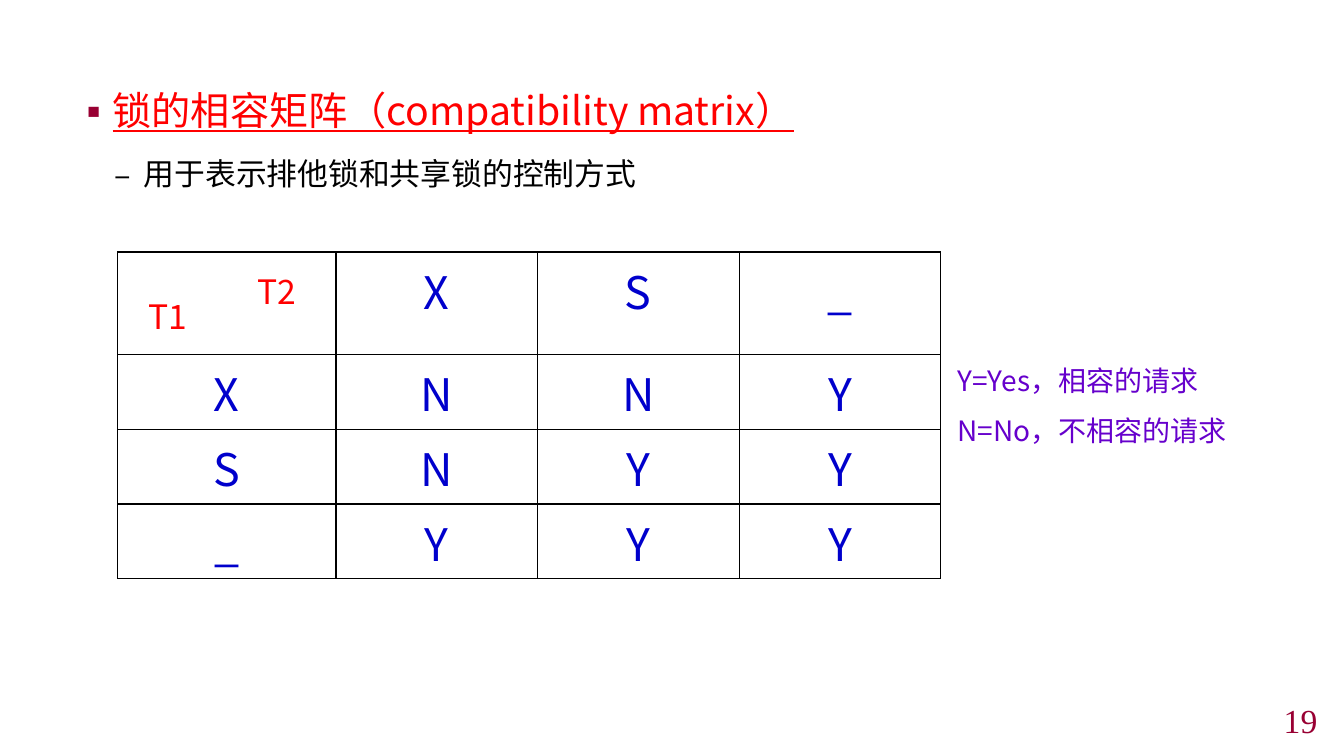
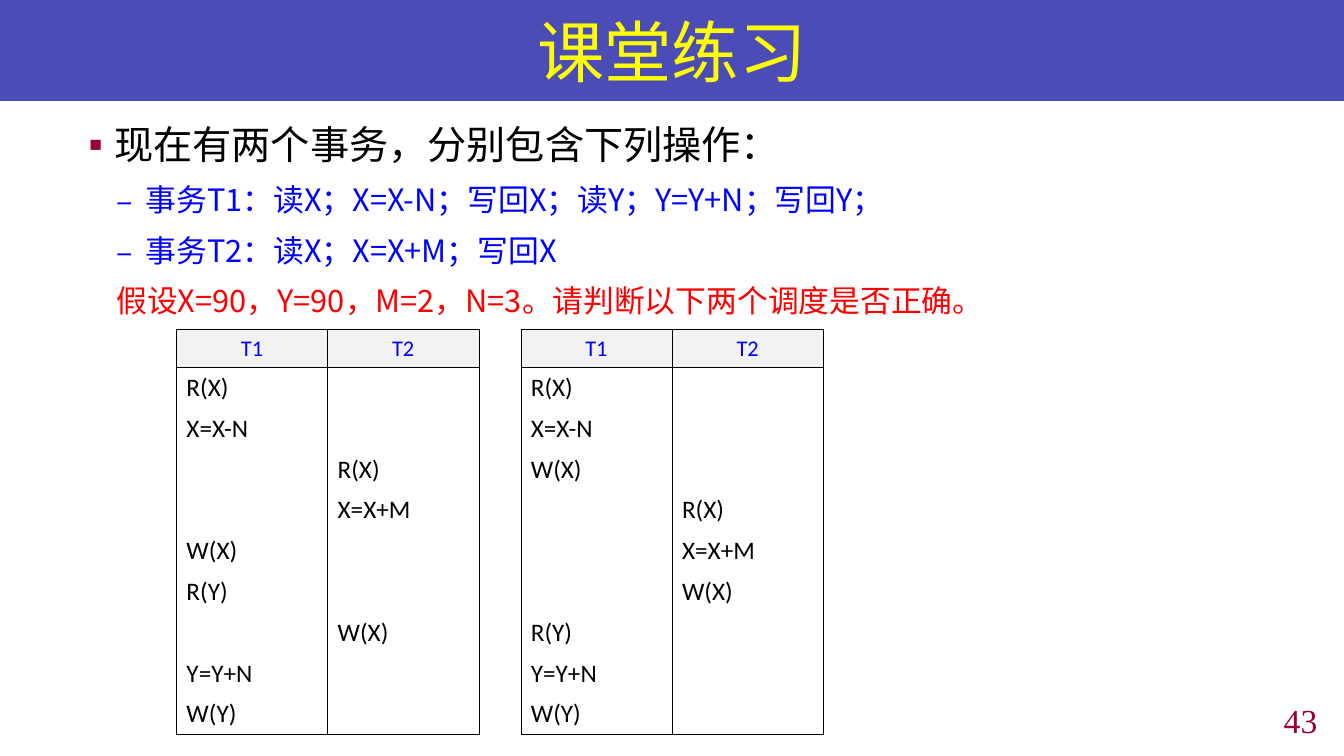
import dataclasses

import lxml.etree
import pptx
import pptx.dml.color
import pptx.enum.shapes
import pptx.enum.text
import pptx.oxml.ns
import pptx.util

ALIGN = pptx.enum.text.PP_ALIGN
MIDDLE = pptx.enum.text.MSO_ANCHOR.MIDDLE
qn = pptx.oxml.ns.qn
NO_GRID_STYLE = "{2D5ABB26-0587-4C30-8999-92F81FD0307C}"


@dataclasses.dataclass(frozen=True)
class Theme:
    # Colours
    black: str = "000000"
    white: str = "FFFFFF"
    red: str = "FF0000"
    blue: str = "0000FF"
    cell_blue: str = "0000CC"
    purple: str = "6600CC"
    maroon: str = "990033"
    yellow: str = "FFFF00"
    band: str = "000099"
    band_alpha: int = 70
    header_fill: str = "F2F2F2"
    # Fonts and type sizes
    font: str = "Noto Sans CJK SC"
    table_font: str = "Calibri"
    number_font: str = "Times New Roman"
    title: int = 48
    matrix: int = 32
    lead: int = 28
    label: int = 24
    point: int = 22
    note: int = 20
    entry: int = 18
    header: int = 16


THEME = Theme()


def rgb(value):
    return pptx.dml.color.RGBColor.from_string(value)


def add_xml(parent, tag, **attrs):
    el = lxml.etree.SubElement(parent, qn(tag))
    for name, value in attrs.items():
        el.set(name, str(value))
    return el


def put_text(p, text, size, color=THEME.black, font=THEME.font, align=ALIGN.LEFT,
             underline=False, leading=None, before=0):
    """Fill one paragraph; leading is a multiple of a 1.2 em line."""
    p.alignment = align
    if leading:
        p.line_spacing = pptx.util.Pt(round(size * 1.2 * leading, 1))
    p.space_before = pptx.util.Pt(before)
    r = p.add_run()
    r.text = text
    r.font.size = pptx.util.Pt(size)
    r.font.name = font
    r.font.underline = underline
    r.font.color.rgb = rgb(color)
    add_xml(r.font._element, "a:ea", typeface=font)


def set_bullet(p, left, hanging, char=None, color=None, percent=100):
    pPr = p._p.get_or_add_pPr()
    pPr.set("marL", str(pptx.util.Inches(left)))
    pPr.set("indent", str(-pptx.util.Inches(hanging)))
    if not char:
        add_xml(pPr, "a:buNone")
        return
    if color:
        add_xml(add_xml(pPr, "a:buClr"), "a:srgbClr", val=color)
    add_xml(pPr, "a:buSzPct", val=percent * 1000)
    add_xml(pPr, "a:buFont", typeface=THEME.font)
    add_xml(pPr, "a:buChar", char=char)


def set_borders(cell, sides, width):
    """Draw the sides named by letters out of LRTB, hide the others."""
    tcPr = cell._tc.get_or_add_tcPr()
    for side in "LRTB":
        ln = add_xml(tcPr, "a:ln" + side, w=pptx.util.Pt(width))
        if side in sides:
            add_xml(add_xml(ln, "a:solidFill"), "a:srgbClr", val=THEME.black)
        else:
            add_xml(ln, "a:noFill")


class Deck:
    """Places elements on a grid of 40 columns by 75 rows."""

    def __init__(self, theme):
        self.theme = theme
        self.prs = pptx.Presentation()
        self.prs.slide_width = pptx.util.Inches(13.33)
        self.prs.slide_height = pptx.util.Inches(7.5)
        self.s = None

    def x(self, columns):
        return round(self.prs.slide_width * columns / 40)

    def y(self, rows):
        return round(self.prs.slide_height * rows / 75)

    def box(self, left, top, width, height):
        return self.x(left), self.y(top), self.x(width), self.y(height)

    def new_slide(self, number, title=None):
        layout = self.prs.slide_layouts[5 if title else 6]
        self.s = self.prs.slides.add_slide(layout)
        if title:
            self.title_band(title)
        self.text((31, 69.9, 8.5, 3.1), [number], anchor=MIDDLE, size=self.theme.label,
                  color=self.theme.maroon, font=self.theme.number_font, align=ALIGN.RIGHT)

    def title_band(self, text):
        sp = self.s.shapes.title
        sp.left, sp.top, sp.width, sp.height = self.box(0, 0, 40, 10)
        sp.fill.solid()
        sp.fill.fore_color.rgb = rgb(self.theme.band)
        clr = next(sp._element.spPr.iter(qn("a:srgbClr")))
        add_xml(clr, "a:alpha", val=self.theme.band_alpha * 1000)
        tf = sp.text_frame
        tf.vertical_anchor = MIDDLE
        tf.auto_size = pptx.enum.text.MSO_AUTO_SIZE.NONE
        put_text(tf.paragraphs[0], text, self.theme.title, self.theme.yellow,
                 align=ALIGN.CENTER)

    def frame(self, place, anchor=pptx.enum.text.MSO_ANCHOR.TOP):
        tf = self.s.shapes.add_textbox(*self.box(*place)).text_frame
        tf.word_wrap = True
        tf.vertical_anchor = anchor
        return tf

    def text(self, place, lines, anchor=pptx.enum.text.MSO_ANCHOR.TOP, **fmt):
        tf = self.frame(place, anchor)
        for i, line in enumerate(lines):
            p = tf.add_paragraph() if i else tf.paragraphs[0]
            put_text(p, line, **fmt)

    def outline(self, place, lead, points, leading, **lead_fmt):
        """A lead line, then (text, colour, bulleted) points below it."""
        t = self.theme
        tf = self.frame(place)
        p = tf.paragraphs[0]
        put_text(p, lead, t.lead, leading=leading, **lead_fmt)
        set_bullet(p, 0.29, 0.29, "▪", t.maroon, 95)
        for text, color, bulleted in points:
            p = tf.add_paragraph()
            put_text(p, text, t.point, color, leading=leading, before=t.point * 0.2)
            if bulleted:
                set_bullet(p, 0.68, 0.29, "–")
            else:
                set_bullet(p, 0.39, 0)

    def table(self, left, top, widths, heights, rows, style):
        """style(row, last_row) gives the fill, sides, line width and text format."""
        gf = self.s.shapes.add_table(len(rows), len(widths),
                                     *self.box(left, top, sum(widths), sum(heights)))
        tbl = gf.table
        tbl.first_row = tbl.horz_banding = False
        tbl._tbl.tblPr.find(qn("a:tableStyleId")).text = NO_GRID_STYLE
        for col, width in zip(tbl.columns, widths):
            col.width = self.x(width)
        for i, (height, row) in enumerate(zip(heights, rows)):
            tbl.rows[i].height = self.y(height)
            fill, sides, line, fmt = style(i, len(rows) - 1)
            for j, text in enumerate(row):
                cell = tbl.cell(i, j)
                set_borders(cell, sides, line)
                cell.fill.solid()
                cell.fill.fore_color.rgb = rgb(fill)
                if text:
                    put_text(cell.text_frame.paragraphs[0], text, **fmt)


def matrix_style(row, last):
    fmt = dict(size=THEME.matrix, color=THEME.cell_blue, align=ALIGN.CENTER)
    return THEME.white, "LRTB", 1, fmt


def schedule_style(row, last):
    if row == 0:
        fmt = dict(size=THEME.header, color=THEME.blue, align=ALIGN.CENTER)
        fill, sides = THEME.header_fill, "LRTB"
    else:
        fmt = dict(size=THEME.entry)
        fill = THEME.white
        sides = "LR" + ("T" if row == 1 else "") + ("B" if row == last else "")
    return fill, sides, 0.25, dict(fmt, font=THEME.table_font)


def schedule_rows(steps):
    """Turn (transaction, operation) steps into rows of a two-column schedule."""
    return [("T1", "T2")] + [(op, "") if who == 1 else ("", op) for who, op in steps]


def compatibility_slide(deck):
    t = deck.theme
    deck.new_slide("19")
    deck.outline((1.95, 6.2, 36, 17.5), "锁的相容矩阵（compatibility matrix）",
                 [("用于表示排他锁和共享锁的控制方式", t.black, True)],
                 leading=1.4, color=t.red, underline=True)
    # Lock matrix with its corner labels
    deck.table(3.5, 25, [6.5, 6, 6, 6], [10.2, 7.4, 7.4, 7.4],
               [("", "X", "S", "_"), "XNNY", "SNYY", "_YYY"], matrix_style)
    for left, top, name in ((6.75, 26.4, "T2"), (3.5, 28.9, "T1")):
        deck.text((left, top, 3, 5), [name], size=t.label, color=t.red,
                  align=ALIGN.CENTER, leading=1)
    # Legend
    deck.text((28.2, 33.9, 9.5, 11.1), ["Y=Yes，相容的请求", "N=No，不相容的请求"],
              size=t.note, color=t.purple, leading=1.5)


def exercise_slide(deck):
    t = deck.theme
    deck.new_slide("43", "课堂练习")
    deck.outline((2, 10.5, 36, 25), "现在有两个事务，分别包含下列操作：",
                 [("事务T1：读X；X=X-N；写回X；读Y；Y=Y+N；写回Y；", t.blue, True),
                  ("事务T2：读X；X=X+M；写回X", t.blue, True),
                  ("假设X=90，Y=90，M=2，N=3。请判断以下两个调度是否正确。", t.red, False)],
                 leading=1.2)
    # Two schedules side by side
    schedules = (
        (5.25, [(1, "R(X)"), (1, "X=X-N"), (2, "R(X)"), (2, "X=X+M"), (1, "W(X)"),
                (1, "R(Y)"), (2, "W(X)"), (1, "Y=Y+N"), (1, "W(Y)")]),
        (15.5, [(1, "R(X)"), (1, "X=X-N"), (1, "W(X)"), (2, "R(X)"), (2, "X=X+M"),
                (2, "W(X)"), (1, "R(Y)"), (1, "Y=Y+N"), (1, "W(Y)")]),
    )
    for left, steps in schedules:
        deck.table(left, 32.7, [4.5, 4.5], [3.75] + [4.05] * len(steps),
                   schedule_rows(steps), schedule_style)


def main():
    deck = Deck(THEME)
    compatibility_slide(deck)
    exercise_slide(deck)
    deck.prs.save("out.pptx")


if __name__ == "__main__":
    main()
